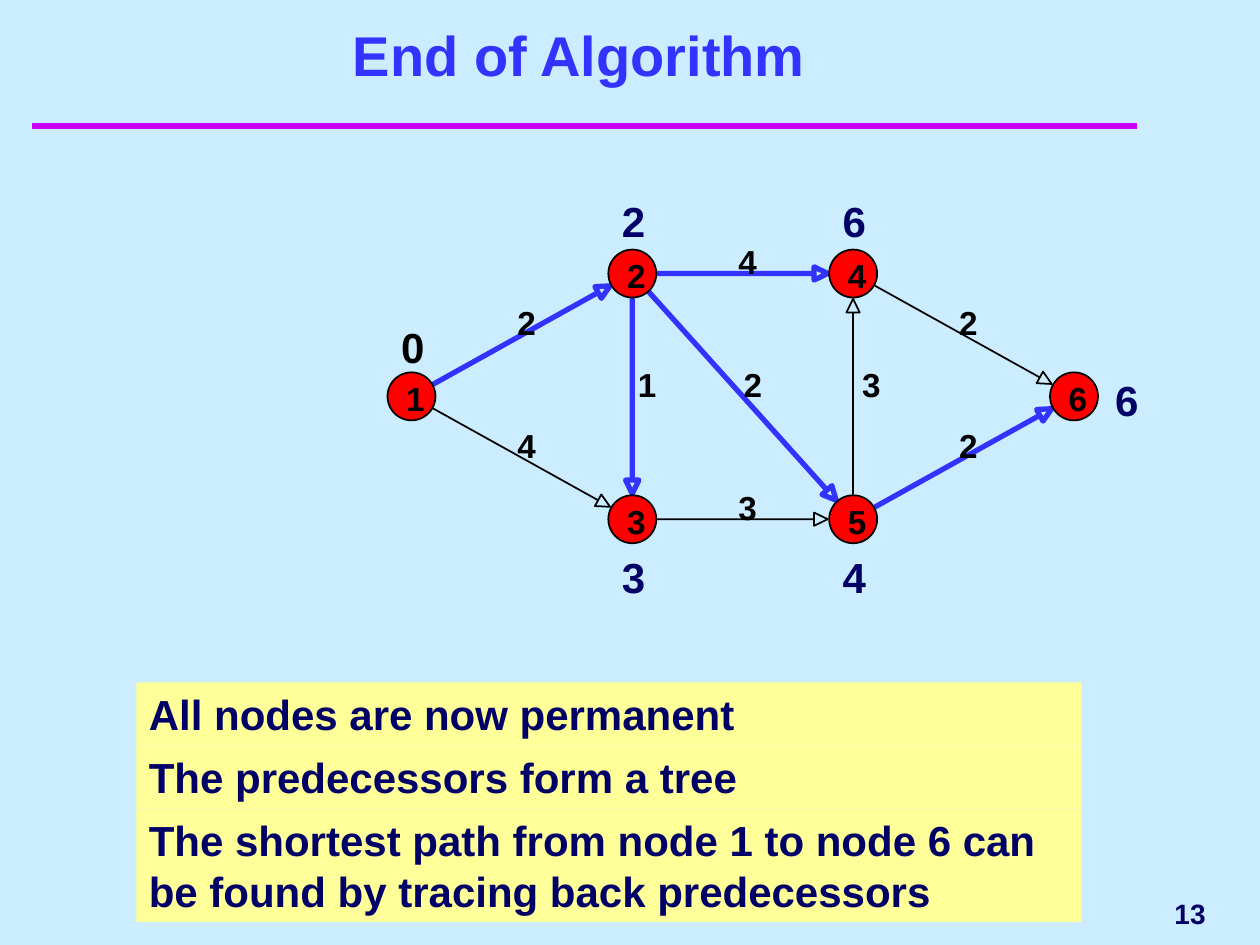
from dataclasses import dataclass
from math import hypot

from lxml.etree import SubElement
from pptx import Presentation
from pptx.dml.color import RGBColor
from pptx.enum.shapes import MSO_CONNECTOR, MSO_SHAPE
from pptx.enum.text import MSO_ANCHOR, MSO_AUTO_SIZE, PP_ALIGN
from pptx.oxml.ns import qn
from pptx.util import Pt


@dataclass(frozen=True)
class Theme:
    font: str = "Arial"
    background: str = "CCECFF"
    blue: str = "3333FF"
    navy: str = "000066"
    black: str = "000000"
    red: str = "FF0000"
    yellow: str = "FFFF99"
    rule: str = "CC00FF"
    title_size: int = 32
    text_size: int = 24
    label_size: int = 19
    number_size: int = 16


THEME = Theme()
TITLE = "End of Algorithm"
STATEMENTS = [  # text, height
    ("All nodes are now permanent", 36),
    ("The predecessors form a tree", 36),
    ("The shortest path from node 1 to node 6 can be found by tracing back predecessors", 64.8),
]
DIAMETER = 27.4
COLUMN_GAP, ROW_GAP = 126.2, 70.2
EDGE_GAP = 14.5  # from a node's centre to the end of an arrow
HEAD_LENGTH, HEAD_HALF_WIDTH = 7.8, 3.8
# Offsets of a distance label from the node's centre
ABOVE, BELOW, BESIDE = (-13, -48), (-13, 15), (16.5, -16)
NODES = {  # name: column, row, distance, distance offset, distance colour
    "1": (0, 1, "0", (-13, -46.5), THEME.black),
    "2": (1, 0, "2", ABOVE, THEME.navy),
    "3": (1, 2, "3", BELOW, THEME.navy),
    "4": (2, 0, "6", ABOVE, THEME.navy),
    "5": (2, 2, "4", BELOW, THEME.navy),
    "6": (3, 1, "6", BESIDE, THEME.navy),
}
EDGES = [  # start, end, cost, in tree, label shift to the right of the middle
    ("1", "2", "2", True, -2.5),
    ("2", "4", "4", True, -2.5),
    ("2", "5", "2", True, 0.5),
    ("2", "3", "1", True, 3.2),
    ("3", "5", "3", False, -2.5),
    ("1", "3", "4", False, -2.5),
    ("4", "6", "2", False, -2.5),
    ("5", "4", "3", False, 5.2),
    ("5", "6", "2", True, -2.5),
]


def set_text(shape, text, size, color, align=PP_ALIGN.LEFT, anchor=MSO_ANCHOR.TOP,
             margins=(7.2, 3.6), wrap=True):
    frame = shape.text_frame
    horizontal, vertical = (Pt(margin) for margin in margins)
    frame_format = {
        "word_wrap": wrap, "auto_size": MSO_AUTO_SIZE.NONE, "vertical_anchor": anchor,
        "margin_left": horizontal, "margin_right": horizontal,
        "margin_top": vertical, "margin_bottom": vertical,
    }
    for name, value in frame_format.items():
        setattr(frame, name, value)
    frame.text = text
    paragraph = frame.paragraphs[0]
    paragraph.alignment = align
    for name, value in {"name": THEME.font, "size": Pt(size), "bold": True}.items():
        setattr(paragraph.font, name, value)
    paragraph.font.color.rgb = RGBColor.from_string(color)


def add_text(slide, left, top, width, height, text, size, color, **text_format):
    shape = slide.shapes.add_textbox(Pt(left), Pt(top), Pt(width), Pt(height))
    set_text(shape, text, size, color, **text_format)


def add_label(slide, left, top, text):
    add_text(slide, left, top, 10.8, 23, text, THEME.label_size, THEME.black,
             margins=(0, 0), wrap=False)


def set_line(shape, color, width):
    shape.line.color.rgb = RGBColor.from_string(color)
    shape.line.width = Pt(width)


def set_fill(shape, color):
    shape.shadow.inherit = False
    shape.fill.solid()
    shape.fill.fore_color.rgb = RGBColor.from_string(color)


def add_heading(slide, left, top, width, height):
    title = slide.shapes.title
    box = {"left": left, "top": top, "width": width, "height": height}
    for name, value in box.items():
        setattr(title, name, Pt(value))
    set_text(title, TITLE, THEME.title_size, THEME.blue,
             align=PP_ALIGN.CENTER, anchor=MSO_ANCHOR.BOTTOM)


def add_rule(slide, left, top, width):
    rule = slide.shapes.add_connector(
        MSO_CONNECTOR.STRAIGHT, Pt(left), Pt(top), Pt(left + width), Pt(top))
    set_line(rule, THEME.rule, 4)
    SubElement(rule.element.spPr, qn("a:effectLst"))


def add_arrow(slide, start, end, color, width):
    """Draw a hollow-headed arrow between two node centres."""
    (start_x, start_y), (end_x, end_y) = start, end
    length = hypot(end_x - start_x, end_y - start_y)
    along_x, along_y = (end_x - start_x) / length, (end_y - start_y) / length

    def point(distance, side=0):
        return (Pt(start_x + distance * along_x - side * along_y),
                Pt(start_y + distance * along_y + side * along_x))

    tip = length - EDGE_GAP
    neck = tip - HEAD_LENGTH
    builder = slide.shapes.build_freeform(*point(EDGE_GAP))
    builder.add_line_segments([
        point(neck), point(neck, HEAD_HALF_WIDTH), point(tip),
        point(neck, -HEAD_HALF_WIDTH), point(neck)], close=True)
    arrow = builder.convert_to_shape()
    arrow.shadow.inherit = False
    arrow.fill.background()
    set_line(arrow, color, width)


def add_graph(slide, left, top):
    radius = DIAMETER / 2
    centres = {
        name: (left + radius + column * COLUMN_GAP, top + radius + row * ROW_GAP)
        for name, (column, row, *_) in NODES.items()
    }
    # Arrows and their costs
    for start, end, cost, in_tree, shift in EDGES:
        color, width = (THEME.blue, 3) if in_tree else (THEME.black, 1)
        add_arrow(slide, centres[start], centres[end], color, width)
        middle_x, middle_y = (sum(pair) / 2 for pair in zip(centres[start], centres[end]))
        add_label(slide, middle_x + shift, middle_y - 18.5, cost)
    # Nodes and their distances
    for name, (_, _, distance, (right, down), color) in NODES.items():
        x, y = centres[name]
        circle = slide.shapes.add_shape(
            MSO_SHAPE.OVAL, Pt(x - radius), Pt(y - radius), Pt(DIAMETER), Pt(DIAMETER))
        set_fill(circle, THEME.red)
        set_line(circle, THEME.black, 1)
        add_label(slide, x - 3, y - 10.5, name)
        add_text(slide, x + right, y + down, 36, 36, distance, THEME.text_size, color)


def add_statements(slide, left, top, width):
    for text, height in STATEMENTS:
        panel = slide.shapes.add_shape(
            MSO_SHAPE.RECTANGLE, Pt(left), Pt(top), Pt(width), Pt(height))
        set_fill(panel, THEME.yellow)
        panel.line.fill.background()
        set_text(panel, text, THEME.text_size, THEME.navy)
        top += height


def main():
    presentation = Presentation()
    presentation.slide_width, presentation.slide_height = Pt(720), Pt(540)
    slide = presentation.slides.add_slide(presentation.slide_layouts[5])
    slide.background.fill.solid()
    slide.background.fill.fore_color.rgb = RGBColor.from_string(THEME.background)

    add_rule(slide, 18, 72, 632)
    add_heading(slide, 25, 24, 612, 30)
    add_graph(slide, 221.4, 142.6)
    add_statements(slide, 78, 390, 540)
    # Slide number
    add_text(slide, 558, 504, 138, 36, "13", THEME.number_size, THEME.navy,
             align=PP_ALIGN.RIGHT, anchor=MSO_ANCHOR.MIDDLE)
    presentation.save("out.pptx")


if __name__ == "__main__":
    main()
